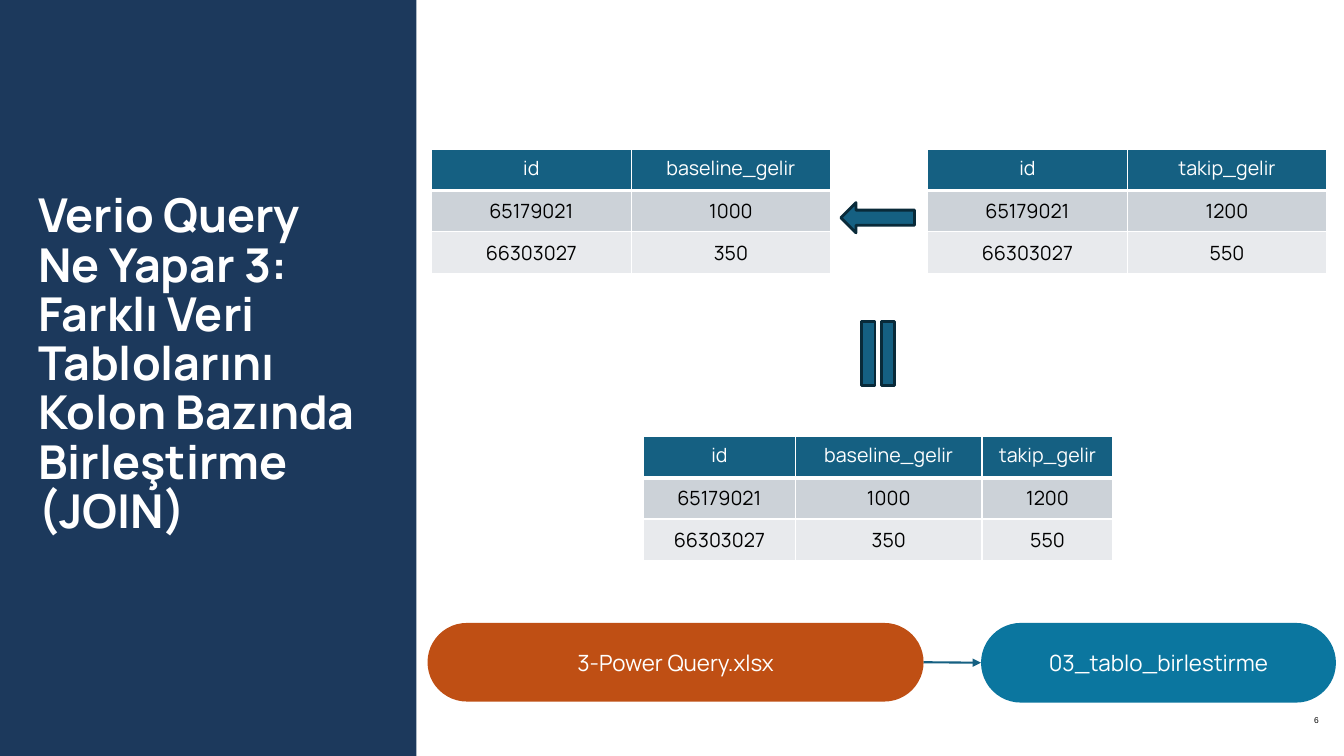
from lxml import etree
from pptx import Presentation
from pptx.dml.color import RGBColor
from pptx.enum import shapes, text
from pptx.oxml import ns
from pptx.util import Inches, Pt

TITLE = "Verio Query\vNe Yapar 3: Farklı Veri Tablolarını Kolon Bazında Birleştirme (JOIN)"
PAGE = "6"
FONT = "Manrope"
COLORS = {
    "navy": "1C395C", "teal": "156082", "outline": "092A39", "blue": "0B769F",
    "orange": "BF4F14", "band1": "CCD2D8", "band2": "E8EAED",
    "white": "FFFFFF", "black": "000000",
}
# left, top, column widths, rows
TABLES = [
    (4.28, 1.48, (1.98, 1.98),
     [("id", "baseline_gelir"), ("65179021", "1000"), ("66303027", "350")]),
    (9.2, 1.48, (1.98, 1.98),
     [("id", "takip_gelir"), ("65179021", "1200"), ("66303027", "550")]),
    (6.38, 4.33, (1.51, 1.85, 1.3),
     [("id", "baseline_gelir", "takip_gelir"),
      ("65179021", "1000", "1200"), ("66303027", "350", "550")]),
]
ROW_HEIGHT = 0.41
# text, box, fill
PILLS = [
    ("3-Power Query.xlsx", (4.24, 6.18, 4.92, 0.78), "orange"),
    ("03_tablo_birlestirme", (9.73, 6.18, 3.52, 0.79), "blue"),
]
# preset, box, rotation
SYMBOLS = [
    (shapes.MSO_SHAPE.LEFT_ARROW, (8.34, 2.01, 0.73, 0.3), 0),
    (shapes.MSO_SHAPE.MATH_EQUAL, (8.28, 3.23, 0.86, 0.55), 90),
]


def rgb(name):
    return RGBColor.from_string(COLORS[name])


def set_margins(tf, size):
    tf.margin_left = tf.margin_right = tf.margin_top = tf.margin_bottom = Inches(size)


def style(p, size, color, align, font=FONT):
    p.alignment = align
    p.font.size, p.font.name, p.font.color.rgb = Pt(size), font, rgb(color)


def add_shape(s, preset, box, fill, line=None):
    sp = s.shapes.add_shape(preset, *map(Inches, box))
    sp.shadow.inherit = False
    sp.fill.solid()
    sp.fill.fore_color.rgb = rgb(fill)
    if line:
        sp.line.color.rgb, sp.line.width = rgb(line), Pt(2)
    else:
        sp.line.fill.background()
    return sp


def add_borders(cell, bottom):
    tc_pr = cell._tc.get_or_add_tcPr()
    for i, (side, width) in enumerate(zip("LRTB", (1, 1, 1, bottom))):
        ln = etree.Element(ns.qn(f"a:ln{side}"), w=str(Pt(width)))
        fill = etree.SubElement(ln, ns.qn("a:solidFill"))
        etree.SubElement(fill, ns.qn("a:srgbClr"), val=COLORS["white"])
        tc_pr.insert(i, ln)


def add_data_table(s, left, top, widths, rows):
    frame = s.shapes.add_table(len(rows), len(widths), Inches(left), Inches(top),
                               Inches(sum(widths)), Inches(ROW_HEIGHT * len(rows)))
    table = frame.table
    for column, width in zip(table.columns, widths):
        column.width = Inches(width)
    for r, values in enumerate(rows):
        table.rows[r].height = Inches(ROW_HEIGHT)
        for c, value in enumerate(values):
            cell = table.cell(r, c)
            cell.text = value
            style(cell.text_frame.paragraphs[0], 14, "black" if r else "white",
                  text.PP_ALIGN.CENTER)
            cell.fill.solid()
            cell.fill.fore_color.rgb = rgb(("teal", "band1", "band2")[r])
            add_borders(cell, 1 if r else 3)
            if r:
                cell.vertical_anchor = text.MSO_ANCHOR.MIDDLE
                cell.margin_left = cell.margin_right = Inches(0.05)
                cell.margin_top = cell.margin_bottom = 0
            else:
                cell.vertical_anchor = text.MSO_ANCHOR.TOP


def add_title(s):
    sp = s.shapes.title
    sp.left, sp.top, sp.width, sp.height = map(Inches, (0.25, 1.79, 3.66, 4.2))
    tf = sp.text_frame
    tf.text = TITLE
    tf.word_wrap = True
    tf.auto_size = text.MSO_AUTO_SIZE.NONE
    tf.vertical_anchor = text.MSO_ANCHOR.TOP
    set_margins(tf, 0.13)
    p = tf.paragraphs[0]
    p.line_spacing = 0.88
    style(p, 33.3, "white", text.PP_ALIGN.LEFT)
    p.font.bold = True


def add_page_number(s):
    tf = s.shapes.add_textbox(*map(Inches, (12.41, 6.86, 0.8, 0.57))).text_frame
    tf.text = PAGE
    tf.word_wrap = True
    tf.vertical_anchor = text.MSO_ANCHOR.MIDDLE
    set_margins(tf, 0.13)
    style(tf.paragraphs[0], 6, "black", text.PP_ALIGN.RIGHT, "Arial")


def add_pill(s, label, box, fill):
    sp = add_shape(s, shapes.MSO_SHAPE.ROUNDED_RECTANGLE, box, fill)
    sp.adjustments[0] = 0.5
    tf = sp.text_frame
    tf.text = label
    tf.vertical_anchor = text.MSO_ANCHOR.MIDDLE
    set_margins(tf, 0.15)
    style(tf.paragraphs[0], 16, "white", text.PP_ALIGN.CENTER)
    return sp


def join(s, start, end):
    line = s.shapes.add_connector(shapes.MSO_CONNECTOR.STRAIGHT, 0, 0, 0, 0)
    line.begin_connect(start, 3)
    line.end_connect(end, 1)
    line.line.color.rgb, line.line.width = rgb("teal"), Pt(1.5)
    etree.SubElement(line.line._get_or_add_ln(), ns.qn("a:tailEnd"), type="triangle")
    etree.SubElement(line._element.spPr, ns.qn("a:effectLst"))


def main():
    prs = Presentation()
    prs.slide_width, prs.slide_height = Inches(13.33), Inches(7.5)
    s = prs.slides.add_slide(prs.slide_layouts[5])
    panel = add_shape(s, shapes.MSO_SHAPE.RECTANGLE, (-0.1, -0.03, 4.23, 7.61), "navy")
    s.shapes._spTree.insert(2, panel._element)  # behind the title
    add_title(s)
    add_page_number(s)
    source_file, sheet = [add_pill(s, *pill) for pill in PILLS]
    join(s, source_file, sheet)
    for table in TABLES:
        add_data_table(s, *table)
    for preset, box, rotation in SYMBOLS:
        add_shape(s, preset, box, "teal", "outline").rotation = rotation
    prs.save("out.pptx")


if __name__ == "__main__":
    main()
